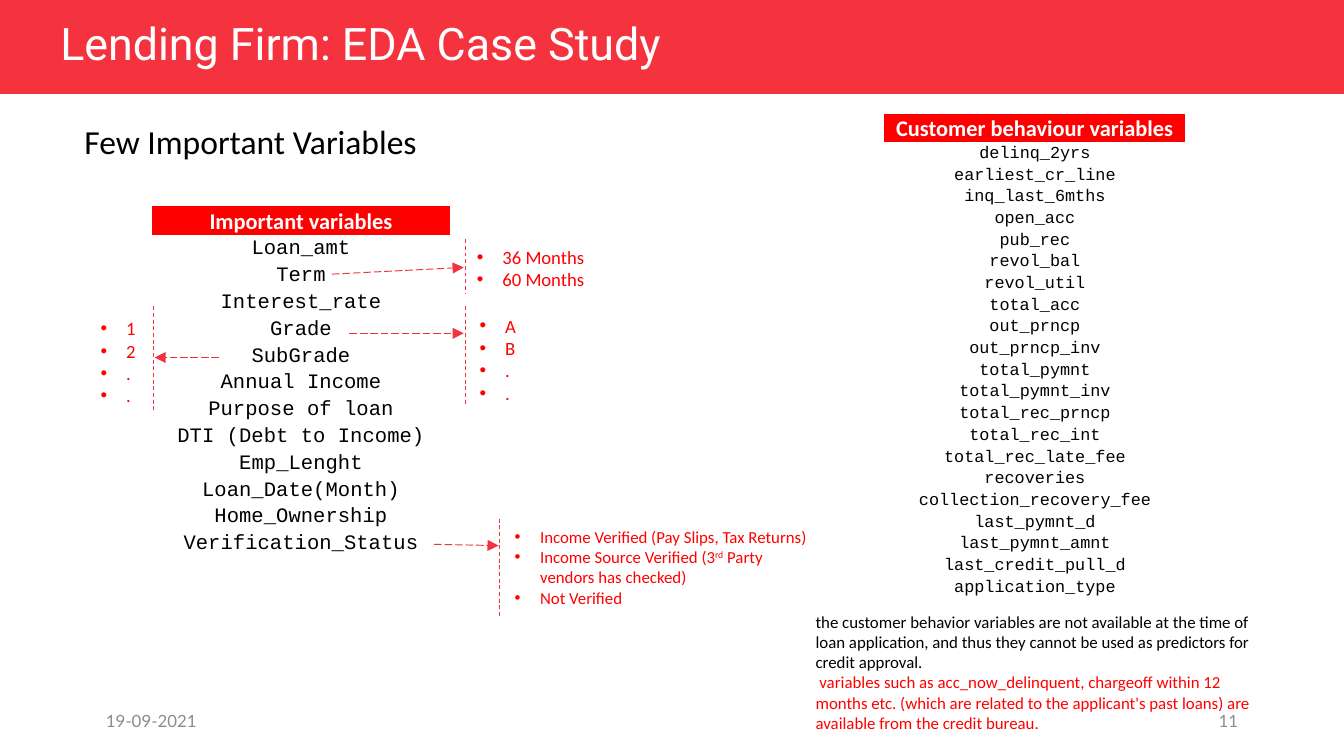
"""Build the slide on important loan variables."""
from dataclasses import dataclass

from lxml import etree
from pptx import Presentation
from pptx.dml.color import RGBColor
from pptx.enum.dml import MSO_LINE
from pptx.enum.shapes import MSO_CONNECTOR, MSO_SHAPE
from pptx.enum.text import MSO_ANCHOR, PP_ALIGN
from pptx.oxml.ns import qn
from pptx.util import Inches, Pt


@dataclass(frozen=True)
class Theme:
    banner: str = "F5333F"
    line: str = "F1333F"
    accent: str = "FF0000"
    ink: str = "000000"
    paper: str = "FFFFFF"
    muted: str = "8C8C8C"
    title: int = 24
    subtitle: int = 18
    heading: int = 12
    variable: int = 11
    bullet: int = 10
    small: int = 9
    body_font: str = "Calibri"
    code_font: str = "Courier New"
    title_font: str = "Roboto"
    footer_font: str = "Lato"


class SlideBuilder:
    PLAIN_TABLE = "{2D5ABB26-0587-4C30-8999-92F81FD0307C}"

    def __init__(self, slide, theme):
        self.slide = slide
        self.theme = theme

    def style(self, run, size, color, font=None, bold=False):
        run.font.size = Pt(size)
        run.font.name = font or self.theme.body_font
        run.font.color.rgb = RGBColor.from_string(color)
        run.font.bold = bold

    def banner(self, width, height):
        bar = self.slide.shapes.add_shape(
            MSO_SHAPE.RECTANGLE, 0, 0, Inches(width), Inches(height))
        bar.shadow.inherit = False
        bar.fill.solid()
        bar.fill.fore_color.rgb = RGBColor.from_string(self.theme.banner)
        bar.line.fill.background()

    def text(self, box, paragraphs, size, color, font=None,
             anchor=MSO_ANCHOR.TOP, align=PP_ALIGN.LEFT, spacing=None):
        frame = self.slide.shapes.add_textbox(*map(Inches, box)).text_frame
        frame.word_wrap = True
        frame.vertical_anchor = anchor
        for i, content in enumerate(paragraphs):
            paragraph = frame.paragraphs[0] if i == 0 else frame.add_paragraph()
            paragraph.alignment = align
            paragraph.line_spacing = spacing
            for part in [content] if isinstance(content, str) else content:
                words, run_color = (part, color) if isinstance(part, str) else part
                run = paragraph.add_run()
                run.text = words
                self.style(run, size, run_color, font)
        return frame

    def bullets(self, box, items, size):
        frame = self.text(box, items, size, self.theme.accent)
        for paragraph in frame.paragraphs:
            props = paragraph._p.get_or_add_pPr()
            props.set("marL", str(Inches(0.19)))
            props.set("indent", str(Inches(-0.19)))
            etree.SubElement(props, qn("a:buFont")).set("typeface", "Arial")
            etree.SubElement(props, qn("a:buChar")).set("char", "•")
        return frame

    def line(self, start, end, dash, arrow=False):
        connector = self.slide.shapes.add_connector(
            MSO_CONNECTOR.STRAIGHT, *map(Inches, (*start, *end)))
        connector.line.width = Pt(0.5)
        connector.line.color.rgb = RGBColor.from_string(self.theme.line)
        connector.line.dash_style = dash
        properties = connector._element.spPr
        if arrow:
            outline = properties.find(qn("a:ln"))
            etree.SubElement(outline, qn("a:tailEnd")).set("type", "triangle")
        etree.SubElement(properties, qn("a:effectLst"))

    def callout(self, start, end, bar, box, items, size):
        bar_x, top, bottom = bar
        self.line(start, end, MSO_LINE.LONG_DASH, arrow=True)
        self.line((bar_x, top), (bar_x, bottom), MSO_LINE.DASH)
        return self.bullets(box, items, size)

    def variable_table(self, box, heading, names, size, heading_height):
        height = box[3]
        table = self.slide.shapes.add_table(
            len(names) + 1, 1, *map(Inches, box)).table
        table.first_row = table.horz_banding = False
        table._tbl.tblPr.find(qn("a:tableStyleId")).text = self.PLAIN_TABLE
        row_height = (height - heading_height) / len(names)
        for i, name in enumerate([heading, *names]):
            is_heading = i == 0
            table.rows[i].height = Inches(heading_height if is_heading else row_height)
            cell = table.cell(i, 0)
            cell.margin_left = cell.margin_right = cell.margin_top = Inches(0.01)
            cell.margin_bottom = 0
            cell.vertical_anchor = MSO_ANCHOR.BOTTOM if is_heading else MSO_ANCHOR.MIDDLE
            paragraph = cell.text_frame.paragraphs[0]
            paragraph.alignment = PP_ALIGN.CENTER
            run = paragraph.add_run()
            run.text = name
            if is_heading:
                cell.fill.solid()
                cell.fill.fore_color.rgb = RGBColor.from_string(self.theme.accent)
                self.style(run, self.theme.heading, self.theme.paper, bold=True)
            else:
                cell.fill.background()
                self.style(run, size, self.theme.ink, self.theme.code_font)


IMPORTANT = [
    "Loan_amt", "Term", "Interest_rate", "Grade", "SubGrade", "Annual Income",
    "Purpose of loan", "DTI (Debt to Income)", "Emp_Lenght", "Loan_Date(Month)",
    "Home_Ownership", "Verification_Status",
]
BEHAVIOUR = [
    "delinq_2yrs", "earliest_cr_line", "inq_last_6mths", "open_acc", "pub_rec",
    "revol_bal", "revol_util", "total_acc", "out_prncp", "out_prncp_inv",
    "total_pymnt", "total_pymnt_inv", "total_rec_prncp", "total_rec_int",
    "total_rec_late_fee", "recoveries", "collection_recovery_fee", "last_pymnt_d",
    "last_pymnt_amnt", "last_credit_pull_d", "application_type",
]

theme = Theme()
deck = Presentation()
deck.slide_width = Inches(10)
deck.slide_height = Inches(10 * 9 / 16)
page = SlideBuilder(deck.slides.add_slide(deck.slide_layouts[6]), theme)

page.banner(10, 0.7)
for left, footer, align in [(0.69, "19-09-2021", PP_ALIGN.LEFT),
                            (7.06, "11", PP_ALIGN.RIGHT)]:
    page.text((left, 5.21, 2.25, 0.3), [footer], theme.small, theme.muted,
              theme.footer_font, MSO_ANCHOR.MIDDLE, align)
page.text((0.35, 0.13, 6.01, 0.42), ["Lending Firm: EDA Case Study"], theme.title,
          theme.paper, theme.title_font, MSO_ANCHOR.MIDDLE, spacing=0.9)
page.text((0.53, 0.85, 5, 0.4), ["Few Important Variables"], theme.subtitle, theme.ink)

page.variable_table((6.58, 0.85, 2.24, 3.6), "Customer behaviour variables",
                    BEHAVIOUR, theme.small, 0.21)
page.text((5.97, 4.5, 3.48, 1.01), [
    "the customer behavior variables are not available at the time of loan "
    "application, and thus they cannot be used as predictors for credit approval.",
    [" ", ("variables such as acc_now_delinquent, chargeoff within 12 months etc. "
           "(which are related to the applicant's past loans) are available from "
           "the credit bureau.", theme.accent)],
], theme.small, theme.ink)
page.variable_table((1.13, 1.53, 2.22, 2.62), "Important variables",
                    IMPORTANT, theme.variable, 0.22)

page.callout((2.47, 2.04), (3.45, 1.99), (3.46, 1.78, 2.19),
             (3.45, 1.78, 1.15, 0.44), ["36 Months", "60 Months"], theme.bullet)
page.callout((2.6, 2.48), (3.45, 2.48), (3.46, 2.28, 3.02),
             (3.47, 2.29, 1.15, 0.77), ["A", "B", ".", "."], theme.bullet)
page.callout((1.63, 2.66), (1.15, 2.66), (1.14, 2.28, 3.06),
             (0.65, 2.31, 0.65, 0.77), ["1", "2", ".", "."], theme.bullet)
verification = page.callout(
    (3.23, 4.05), (3.71, 4.06), (3.72, 3.86, 4.6), (3.73, 3.87, 2.42, 0.71),
    ["Income Verified (Pay Slips, Tax Returns)",
     ["Income Source Verified (3", "rd", " Party vendors has checked)"],
     "Not Verified"], theme.small)
ordinal = verification.paragraphs[1].runs[1]
ordinal._r.get_or_add_rPr().set("baseline", "30000")

deck.save("out.pptx")
